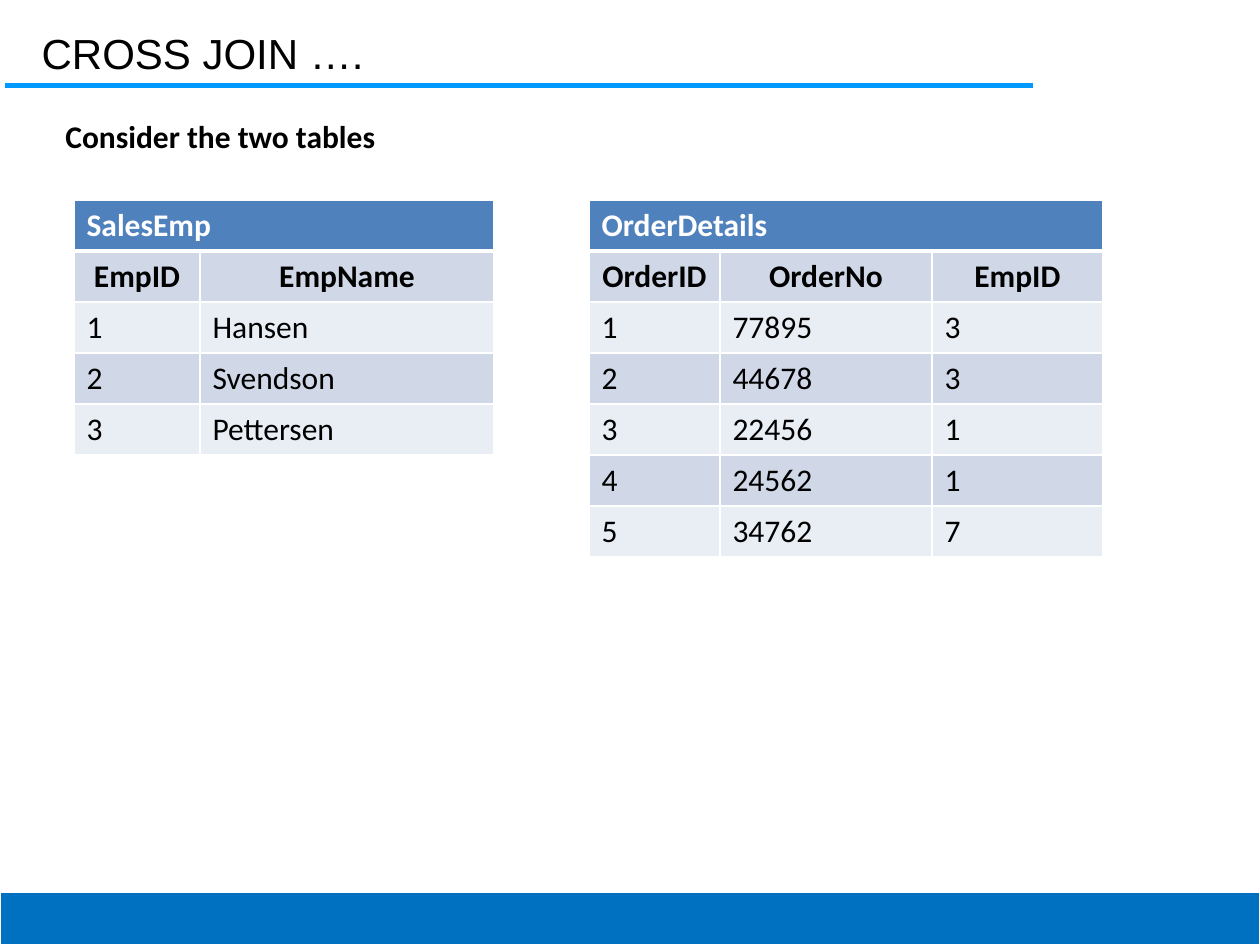
from lxml import etree
from pptx import Presentation
from pptx import util as u
from pptx.dml.color import RGBColor
from pptx.enum import shapes, text
from pptx.oxml.ns import qn

TITLE = "CROSS JOIN …."
INTRO = "Consider the two tables"
TABLES = [
    {
        "name": "OrderDetails", "left": 589, "widths": [131, 212, 171],
        "rows": [
            ("OrderID", "OrderNo", "EmpID"),
            ("1", "77895", "3"),
            ("2", "44678", "3"),
            ("3", "22456", "1"),
            ("4", "24562", "1"),
            ("5", "34762", "7"),
        ],
    },
    {
        "name": "SalesEmp", "left": 74, "widths": [126, 294],
        "rows": [
            ("EmpID", "EmpName"),
            ("1", "Hansen"),
            ("2", "Svendson"),
            ("3", "Pettersen"),
        ],
    },
]
TABLE_TOP, ROW_HEIGHT = 200, 51
BLACK, WHITE = "000000", "FFFFFF"
HEADER_FILL, BAND_FILLS = "4F81BD", ("D0D8E8", "E9EDF4")


def px(length):
    return u.Emu(round(length * 914400 / 126))


def rgb(value):
    return RGBColor.from_string(value)


def format_text(text_frame, size, name, color=BLACK, bold=False):
    for paragraph in text_frame.paragraphs:
        for run in paragraph.runs:
            run.font.size = u.Pt(size)
            run.font.name = name
            run.font.bold = bold
            run.font.color.rgb = rgb(color)


def set_borders(cell, top, bottom):
    """Give the cell white borders, 1 pt at the sides; top and bottom in pt."""
    properties = cell._tc.get_or_add_tcPr()
    sides = (("a:lnL", 1), ("a:lnR", 1), ("a:lnT", top), ("a:lnB", bottom))
    for index, (tag, width) in enumerate(sides):
        line = etree.Element(qn(tag), w=str(u.Pt(width)))
        fill = etree.SubElement(line, qn("a:solidFill"))
        etree.SubElement(fill, qn("a:srgbClr"), val=WHITE)
        properties.insert(index, line)


def add_data_table(slide, name, left, widths, rows):
    lines = [(name,) + ("",) * (len(widths) - 1)] + rows
    table = slide.shapes.add_table(
        len(lines), len(widths), px(left), px(TABLE_TOP),
        px(sum(widths)), px(ROW_HEIGHT * len(lines))).table
    for column, width in zip(table.columns, widths):
        column.width = px(width)
    for row_index, values in enumerate(lines):
        table.rows[row_index].height = px(ROW_HEIGHT)
        is_name = row_index == 0
        is_heading = row_index == 1
        for column_index, value in enumerate(values):
            cell = table.cell(row_index, column_index)
            cell.text_frame.text = value
            if is_heading:
                cell.text_frame.paragraphs[0].alignment = text.PP_ALIGN.CENTER
            format_text(cell.text_frame, 18, "Calibri",
                        WHITE if is_name else BLACK, is_name or is_heading)
            cell.fill.solid()
            cell.fill.fore_color.rgb = rgb(
                HEADER_FILL if is_name else BAND_FILLS[(row_index - 1) % 2])
            set_borders(cell, 3 if is_heading else 1, 3 if is_name else 1)
    table.cell(0, 0).merge(table.cell(0, len(widths) - 1))


def main():
    presentation = Presentation()
    presentation.slide_width, presentation.slide_height = px(1260), px(945)
    slide = presentation.slides.add_slide(presentation.slide_layouts[5])

    rule = slide.shapes.add_connector(
        shapes.MSO_CONNECTOR.STRAIGHT, px(5), px(86), px(1033), px(86))
    rule.line.color.rgb = rgb("0099FF")
    rule.line.width = u.Pt(2.89)
    etree.SubElement(rule._element.spPr, qn("a:effectLst"))

    title = slide.shapes.title
    title.left, title.top, title.width, title.height = map(px, (29, 21, 1004, 50))
    title.text_frame.text = TITLE
    title.text_frame.vertical_anchor = text.MSO_ANCHOR.TOP
    title.text_frame.auto_size = text.MSO_AUTO_SIZE.NONE
    title.text_frame.paragraphs[0].alignment = text.PP_ALIGN.LEFT
    format_text(title.text_frame, 24, "Arial")

    footer = slide.shapes.add_shape(
        shapes.MSO_SHAPE.RECTANGLE, 0, px(892), px(1260), px(53))
    footer.shadow.inherit = False
    footer.fill.solid()
    footer.fill.fore_color.rgb = rgb("0070C0")
    footer.line.color.rgb = rgb(WHITE)
    footer.line.width = u.Pt(0.75)

    intro = slide.shapes.add_textbox(px(53), px(111), px(788), px(51))
    intro.text_frame.word_wrap = True
    intro.text_frame.text = INTRO
    format_text(intro.text_frame, 18, "Calibri", bold=True)

    for data in TABLES:
        add_data_table(slide, **data)

    presentation.save("out.pptx")


if __name__ == "__main__":
    main()
